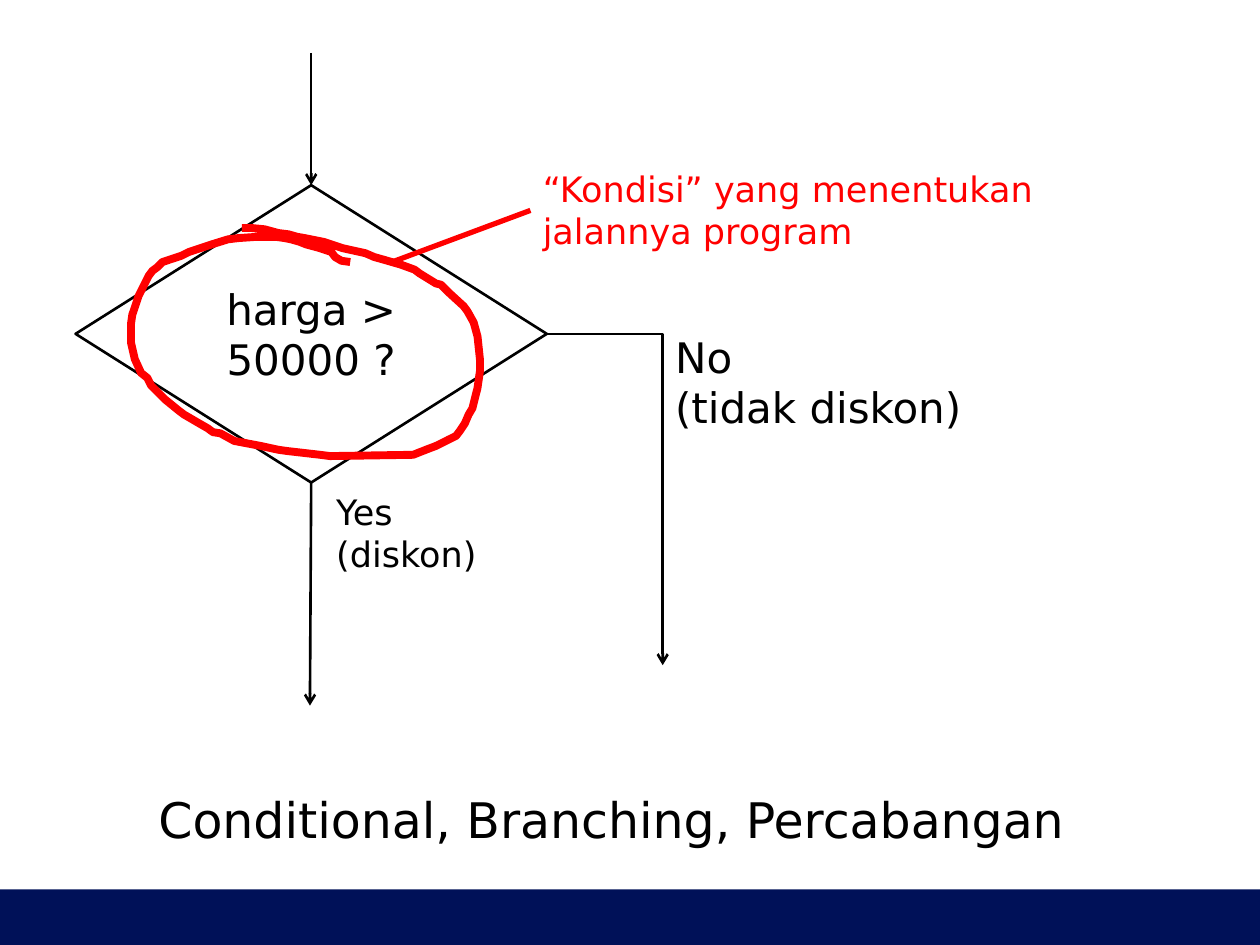
from dataclasses import dataclass
from typing import Optional

from lxml.etree import SubElement
from pptx import Presentation
from pptx.dml.color import RGBColor
from pptx.enum.shapes import MSO_CONNECTOR, MSO_SHAPE
from pptx.enum.text import MSO_ANCHOR, MSO_AUTO_SIZE, PP_ALIGN
from pptx.oxml.ns import qn
from pptx.shapes.autoshape import Shape
from pptx.shapes.connector import Connector
from pptx.slide import Slide
from pptx.text.text import TextFrame
from pptx.util import Inches, Pt

BLACK = RGBColor(0x00, 0x00, 0x00)
WHITE = RGBColor(0xFF, 0xFF, 0xFF)
RED = RGBColor(0xFF, 0x00, 0x00)
NAVY = RGBColor(0x00, 0x11, 0x58)
FONT = "DejaVu Sans"
TOP, BOTTOM = 0, 2
Point = tuple[float, float]


@dataclass
class Label:
    lines: list[str]
    left: float
    top: float
    width: float
    height: float
    size: int
    color: RGBColor = BLACK
    alignment: PP_ALIGN = PP_ALIGN.LEFT
    wrap: bool = False


@dataclass
class Line:
    start: Point
    end: Point
    color: RGBColor = BLACK
    width: float = 1.5
    arrow: bool = True
    elbow: bool = False
    begin_site: Optional[int] = None
    end_site: Optional[int] = None


LABELS = [
    Label(["No", "(tidak diskon)"], 5.26, 2.58, 2.56, 0.91, 24),
    Label(["Yes", "(diskon)"], 2.57, 3.84, 1.37, 0.77, 20),
    Label(["“Kondisi” yang menentukan", "jalannya program"],
          4.21, 1.28, 4.16, 0.77, 20, RED),
    Label(["Conditional, Branching, Percabangan"],
          0.21, 6.22, 9.28, 0.57, 28, BLACK, PP_ALIGN.CENTER, True),
]

LINES = [
    Line((4.33, 2.65), (5.26, 5.28), elbow=True),
    Line((2.47, 3.83), (2.46, 5.6), begin_site=BOTTOM),
    Line((3.11, 2.08), (4.21, 1.67), RED, 3, arrow=False),
    Line((2.47, 0.42), (2.47, 1.47), end_site=TOP),
]

SCRIBBLE: list[Point] = [
    (2.78, 2.08), (2.71, 2.07), (2.66, 2.04), (2.63, 2.0), (2.54, 1.97),
    (2.43, 1.94), (2.38, 1.92), (2.31, 1.9), (2.26, 1.89), (2.19, 1.88),
    (2.04, 1.88), (1.89, 1.89), (1.81, 1.9), (1.68, 1.94), (1.5, 2.0),
    (1.44, 2.03), (1.35, 2.06), (1.29, 2.08), (1.25, 2.12), (1.21, 2.15),
    (1.18, 2.19), (1.12, 2.31), (1.1, 2.35), (1.07, 2.44), (1.05, 2.5),
    (1.04, 2.57), (1.04, 2.72), (1.07, 2.85), (1.12, 2.96), (1.17, 3.0),
    (1.2, 3.06), (1.31, 3.17), (1.42, 3.26), (1.46, 3.29), (1.58, 3.36),
    (1.65, 3.4), (1.69, 3.43), (1.75, 3.44), (1.86, 3.5), (2.07, 3.54),
    (2.21, 3.57), (2.28, 3.58), (2.54, 3.61), (2.62, 3.62), (3.28, 3.61),
    (3.38, 3.57), (3.46, 3.54), (3.52, 3.51), (3.56, 3.49), (3.62, 3.46),
    (3.65, 3.42), (3.69, 3.36), (3.72, 3.29), (3.75, 3.24), (3.78, 3.12),
    (3.79, 3.08), (3.81, 2.94), (3.81, 2.86), (3.79, 2.67), (3.76, 2.56),
    (3.71, 2.47), (3.68, 2.43), (3.56, 2.32), (3.5, 2.26), (3.46, 2.25),
    (3.33, 2.17), (3.29, 2.14), (3.18, 2.1), (3.11, 2.08), (3.04, 2.06),
    (2.97, 2.04), (2.9, 2.01), (2.72, 1.97), (2.57, 1.92), (2.42, 1.89),
    (2.36, 1.88), (2.29, 1.86), (2.21, 1.85), (2.1, 1.82), (2.0, 1.81),
    (1.92, 1.81),
]


def write_lines(frame: TextFrame, lines: list[str], size: int,
                color: RGBColor, alignment: PP_ALIGN) -> None:
    frame.text = "\n".join(lines)
    for paragraph in frame.paragraphs:
        paragraph.alignment = alignment
        paragraph.font.name = FONT
        paragraph.font.size = Pt(size)
        paragraph.font.color.rgb = color


def add_label(slide: Slide, label: Label) -> None:
    box = slide.shapes.add_textbox(Inches(label.left), Inches(label.top),
                                   Inches(label.width), Inches(label.height))
    frame = box.text_frame
    frame.word_wrap = label.wrap
    frame.auto_size = MSO_AUTO_SIZE.SHAPE_TO_FIT_TEXT
    write_lines(frame, label.lines, label.size, label.color, label.alignment)


def add_line(slide: Slide, line: Line, decision: Shape) -> Connector:
    kind = MSO_CONNECTOR.ELBOW if line.elbow else MSO_CONNECTOR.STRAIGHT
    connector = slide.shapes.add_connector(
        kind, *(Inches(value) for value in line.start + line.end))
    connector.line.color.rgb = line.color
    connector.line.width = Pt(line.width)
    properties = connector._element.spPr
    if line.elbow:
        properties.find(qn("a:prstGeom")).set("prst", "bentConnector2")
    if line.arrow:
        SubElement(properties.find(qn("a:ln")), qn("a:tailEnd"), type="arrow")
    SubElement(properties, qn("a:effectLst"))
    if line.begin_site is not None:
        connector.begin_connect(decision, line.begin_site)
    if line.end_site is not None:
        connector.end_connect(decision, line.end_site)
    return connector


def add_footer_band(slide: Slide) -> None:
    band = slide.shapes.add_shape(MSO_SHAPE.RECTANGLE, Inches(0), Inches(7.06),
                                  Inches(10), Inches(0.44))
    band.shadow.inherit = False
    band.fill.solid()
    band.fill.fore_color.rgb = NAVY
    band.line.fill.background()


def add_decision(slide: Slide) -> Shape:
    decision = slide.shapes.add_shape(
        MSO_SHAPE.FLOWCHART_DECISION, Inches(0.6), Inches(1.47),
        Inches(3.74), Inches(2.36))
    decision.shadow.inherit = False
    decision.fill.solid()
    decision.fill.fore_color.rgb = WHITE
    decision.line.color.rgb = BLACK
    decision.line.width = Pt(1.5)
    frame = decision.text_frame
    frame.word_wrap = True
    frame.vertical_anchor = MSO_ANCHOR.MIDDLE
    write_lines(frame, ["harga > 50000 ?"], 24, BLACK, PP_ALIGN.CENTER)
    return decision


def add_scribble(slide: Slide, points: list[Point]) -> None:
    start, *rest = [(Inches(x), Inches(y)) for x, y in points]
    builder = slide.shapes.build_freeform(*start)
    builder.add_line_segments(rest, close=False)
    scribble = builder.convert_to_shape()
    scribble.shadow.inherit = False
    scribble.fill.background()
    scribble.line.color.rgb = RED
    scribble.line.width = Pt(4.5)


def main() -> None:
    presentation = Presentation()
    presentation.slide_width = Inches(10)
    presentation.slide_height = Inches(7.5)
    slide = presentation.slides.add_slide(presentation.slide_layouts[6])
    add_footer_band(slide)
    decision = add_decision(slide)
    add_scribble(slide, SCRIBBLE)
    for line in LINES:
        add_line(slide, line, decision)
    for label in LABELS:
        add_label(slide, label)
    presentation.save("out.pptx")


if __name__ == "__main__":
    main()
